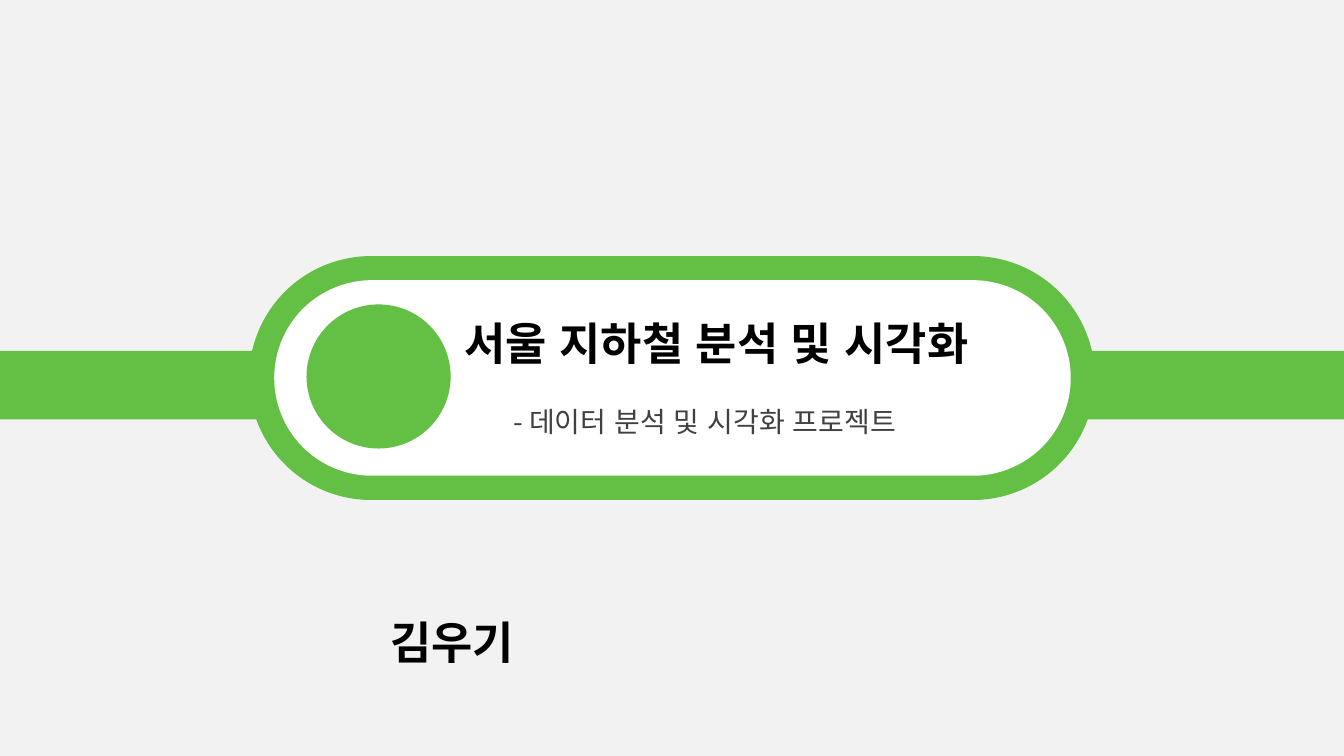
"""Build the title slide of a Seoul subway analysis, styled as a station sign."""
from lxml import etree
from pptx import Presentation
from pptx import util as u
from pptx.dml.color import RGBColor
from pptx.enum import lang, shapes, text
from pptx.oxml.ns import qn

WIDTH, HEIGHT = 13.33, 7.5
FONT = "Noto Sans CJK KR"
BACKGROUND, GREEN, WHITE = "F2F2F2", "64C044", "FFFFFF"
BLACK, GRAY = "000000", "404040"
KIND = shapes.MSO_SHAPE

SIGN = [
    (KIND.RECTANGLE, (0, 0, WIDTH, HEIGHT), BACKGROUND),
    (KIND.RECTANGLE, (0, 3.48, WIDTH, 0.68), GREEN),
    (KIND.ROUNDED_RECTANGLE, (2.47, 2.54, 8.39, 2.42), GREEN),
    (KIND.ROUNDED_RECTANGLE, (2.72, 2.78, 7.9, 1.94), WHITE),
    (KIND.OVAL, (3.04, 3.02, 1.43, 1.43), GREEN),
]
LABELS = [
    ("서울 지하철 분석 및 시각화", (4.51, 3.08, 5.78, 0.64), 32, BLACK, True),
    ("- 데이터 분석 및 시각화 프로젝트", (4.99, 3.96, 4.68, 0.44), 20, GRAY, False),
    ("김우기", (3.77, 6.05, 5.78, 0.64), 32, BLACK, True),
]


def paint(fill, color):
    fill.solid()
    fill.fore_color.rgb = RGBColor.from_string(color)


def inches(box):
    return [u.Inches(length) for length in box]


def add_sign_part(slide, kind, box, color):
    shape = slide.shapes.add_shape(kind, *inches(box))
    shape.shadow.inherit = False
    paint(shape.fill, color)
    shape.line.fill.background()
    if kind == KIND.ROUNDED_RECTANGLE:
        shape.adjustments[0] = 0.5


def add_label(slide, wording, box, size, color, bold):
    shape = slide.shapes.add_textbox(*inches(box))
    frame = shape.text_frame
    frame.word_wrap = True
    frame.auto_size = text.MSO_AUTO_SIZE.SHAPE_TO_FIT_TEXT
    paragraph = frame.paragraphs[0]
    paragraph.text = wording
    paragraph.alignment = text.PP_ALIGN.JUSTIFY
    paragraph.runs[0].font.language_id = lang.MSO_LANGUAGE_ID.KOREAN
    font = paragraph.font
    font.name, font.size, font.bold = FONT, u.Pt(size), bold
    paint(font.fill, color)
    properties = paragraph._p.pPr.find(qn("a:defRPr"))
    etree.SubElement(properties, qn("a:ea"), typeface=FONT)


def main():
    presentation = Presentation()
    presentation.slide_width = u.Inches(WIDTH)
    presentation.slide_height = u.Inches(HEIGHT)
    slide = presentation.slides.add_slide(presentation.slide_layouts[6])
    for part in SIGN:
        add_sign_part(slide, *part)
    for label in LABELS:
        add_label(slide, *label)
    presentation.save("out.pptx")


if __name__ == "__main__":
    main()
